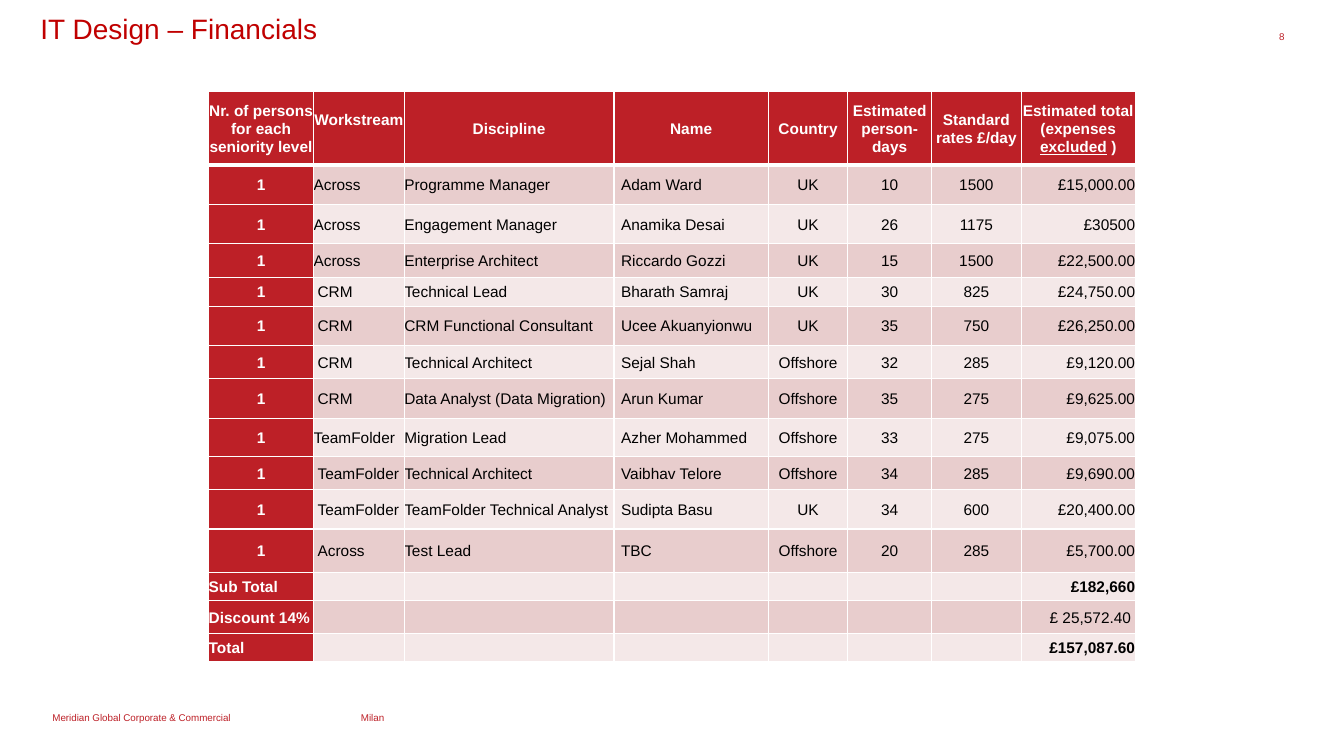
from lxml.etree import SubElement
from pptx import Presentation
from pptx.dml.color import RGBColor as RGB
from pptx.enum.text import MSO_ANCHOR as ANCHOR, PP_ALIGN as ALIGN
from pptx.oxml.ns import qn
from pptx.util import Inches, Pt

COLORS = {"red": "BD2027", "title": "C00000", "dark": "E8CDCD",
          "light": "F4E8E8", "white": "FFFFFF", "black": "000000"}
HEADER = ["Nr. of persons for each seniority level", "Workstream", "Discipline", "Name",
          "Country", "Estimated person-days", "Standard rates £/day",
          "Estimated total (expenses excluded )"]
STAFF = [
    ["1", "Across", "Programme Manager", "Adam Ward", "UK", "10", "1500", "£15,000.00"],
    ["1", "Across", "Engagement Manager", "Anamika Desai", "UK", "26", "1175", "£30500"],
    ["1", "Across", "Enterprise Architect", "Riccardo Gozzi", "UK", "15", "1500", "£22,500.00"],
    ["1", "CRM", "Technical Lead", "Bharath Samraj", "UK", "30", "825", "£24,750.00"],
    ["1", "CRM", "CRM Functional Consultant", "Ucee Akuanyionwu", "UK", "35", "750", "£26,250.00"],
    ["1", "CRM", "Technical Architect", "Sejal Shah", "Offshore", "32", "285", "£9,120.00"],
    ["1", "CRM", "Data Analyst (Data Migration)", "Arun Kumar", "Offshore", "35", "275", "£9,625.00"],
    ["1", "TeamFolder", "Migration Lead", "Azher Mohammed", "Offshore", "33", "275", "£9,075.00"],
    ["1", "TeamFolder", "Technical Architect", "Vaibhav Telore", "Offshore", "34", "285", "£9,690.00"],
    ["1", "TeamFolder", "TeamFolder Technical Analyst", "Sudipta Basu", "UK", "34", "600", "£20,400.00"],
    ["1", "Across", "Test Lead", "TBC", "Offshore", "20", "285", "£5,700.00"],
]
TOTALS = [["Sub Total", "£182,660"], ["Discount 14%", "£ 25,572.40"], ["Total", "£157,087.60"]]
ROWS = [HEADER] + STAFF + [[label] + [""] * 6 + [amount] for label, amount in TOTALS]
WIDTHS = [1.04, 0.9, 2.08, 1.53, 0.79, 0.83, 0.89, 1.13]
HEIGHTS = [0.73, 0.39, 0.39, 0.33, 0.29, 0.39, 0.33, 0.39, 0.38, 0.33, 0.39, 0.43, 0.28, 0.33, 0.28]
ALIGNS = [ALIGN.CENTER, ALIGN.LEFT, ALIGN.LEFT, ALIGN.LEFT,
          ALIGN.CENTER, ALIGN.CENTER, ALIGN.CENTER, ALIGN.RIGHT]
INDENTED_ROWS = {4, 5, 6, 7, 9, 10, 11}
DISCOUNT_ROW = 13


def set_font(p, size, color, bold=False):
    p.font.name = "Arial"
    p.font.size = Pt(size)
    p.font.bold = bold
    p.font.color.rgb = RGB.from_string(COLORS[color])


def set_border(cell, side, width):
    ln = SubElement(cell._tc.get_or_add_tcPr(), qn(f"a:ln{side}"), w=str(Pt(width)))
    fill = SubElement(ln, qn("a:solidFill"))
    SubElement(fill, qn("a:srgbClr"), val=COLORS["white"])


prs = Presentation()
prs.slide_width, prs.slide_height = Inches(13.33), Inches(7.5)
s = prs.slides.add_slide(prs.slide_layouts[5])

title = s.shapes.title
title.left, title.top, title.width, title.height = Inches(0.3), Inches(0.06), Inches(12.97), Inches(0.43)
tf = title.text_frame
tf.text = "IT Design – Financials"
tf.vertical_anchor = ANCHOR.TOP
tf.paragraphs[0].alignment = ALIGN.LEFT
set_font(tf.paragraphs[0], 20, "title")

for text, x, y, w, h, align in [
    ("Meridian Global Corporate & Commercial", 0.52, 7.06, 2.88, 0.12, ALIGN.LEFT),
    ("Milan", 3.58, 7.06, 1.64, 0.12, ALIGN.LEFT),
    ("8", 12.45, 0.3, 0.29, 0.2, ALIGN.RIGHT),
]:
    tf = s.shapes.add_textbox(Inches(x), Inches(y), Inches(w), Inches(h)).text_frame
    tf.word_wrap = True
    tf.margin_left = tf.margin_right = tf.margin_top = tf.margin_bottom = 0
    p = tf.paragraphs[0]
    p.text = text
    p.alignment = align
    set_font(p, 7, "red")

table = s.shapes.add_table(len(ROWS), len(WIDTHS), Inches(2.07), Inches(0.91),
                           Inches(sum(WIDTHS)), Inches(sum(HEIGHTS))).table
for column, width in zip(table.columns, WIDTHS):
    column.width = Inches(width)
for row, height in zip(table.rows, HEIGHTS):
    row.height = Inches(height)

for i, values in enumerate(ROWS):
    is_total = i > len(STAFF)
    for j, value in enumerate(values):
        cell = table.cell(i, j)
        is_red = i == 0 or j == 0
        for side in "LRTB":
            set_border(cell, side, 3 if (i, side) in [(0, "B"), (1, "T")] else 1)
        cell.fill.solid()
        cell.fill.fore_color.rgb = RGB.from_string(
            COLORS["red" if is_red else "dark" if i % 2 else "light"])
        cell.vertical_anchor = ANCHOR.MIDDLE
        cell.margin_left = cell.margin_right = cell.margin_top = cell.margin_bottom = 0
        if j == 3 and i > 0:
            cell.margin_left = cell.margin_right = Inches(0.07)
        if j == 1 and i in INDENTED_ROWS:
            cell.margin_left = Inches(0.04)
        if j == 7 and i == DISCOUNT_ROW:
            cell.margin_right = Inches(0.04)
        if j == 1 and i == 0:
            cell.margin_bottom = Inches(0.18)
        p = cell.text_frame.paragraphs[0]
        if (i, j) == (0, 7):
            before, after = value.split("excluded")
            for text in (before, "excluded", after):
                r = p.add_run()
                r.text = text
                r.font.underline = text == "excluded"
        elif value:
            p.text = value
        else:
            p._p.get_or_add_endParaRPr().set("sz", "1100")
        p.alignment = ALIGN.CENTER if i == 0 else ALIGN.LEFT if is_total and j == 0 else ALIGNS[j]
        p.line_spacing = 1.07
        p.space_after = Pt(8)
        set_font(p, 11, "white" if is_red else "black",
                 is_red or (is_total and i != DISCOUNT_ROW))

prs.save("out.pptx")
